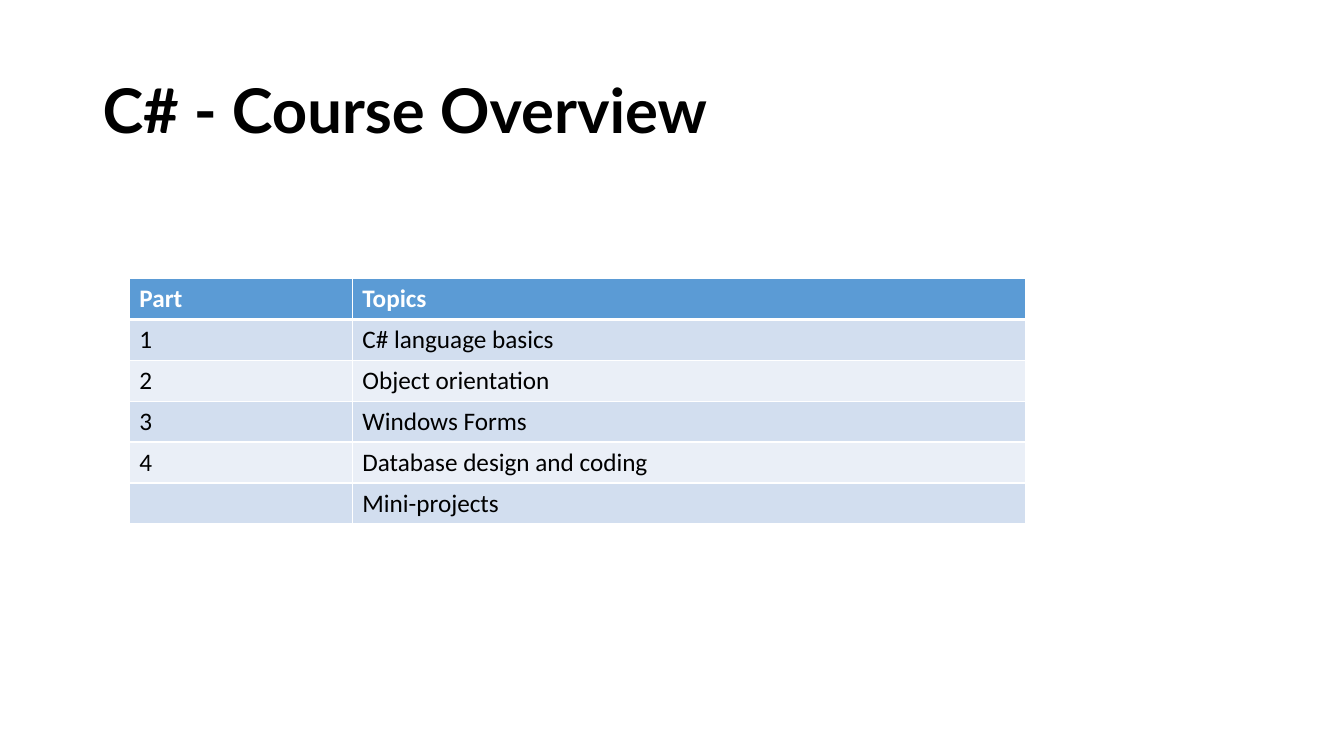
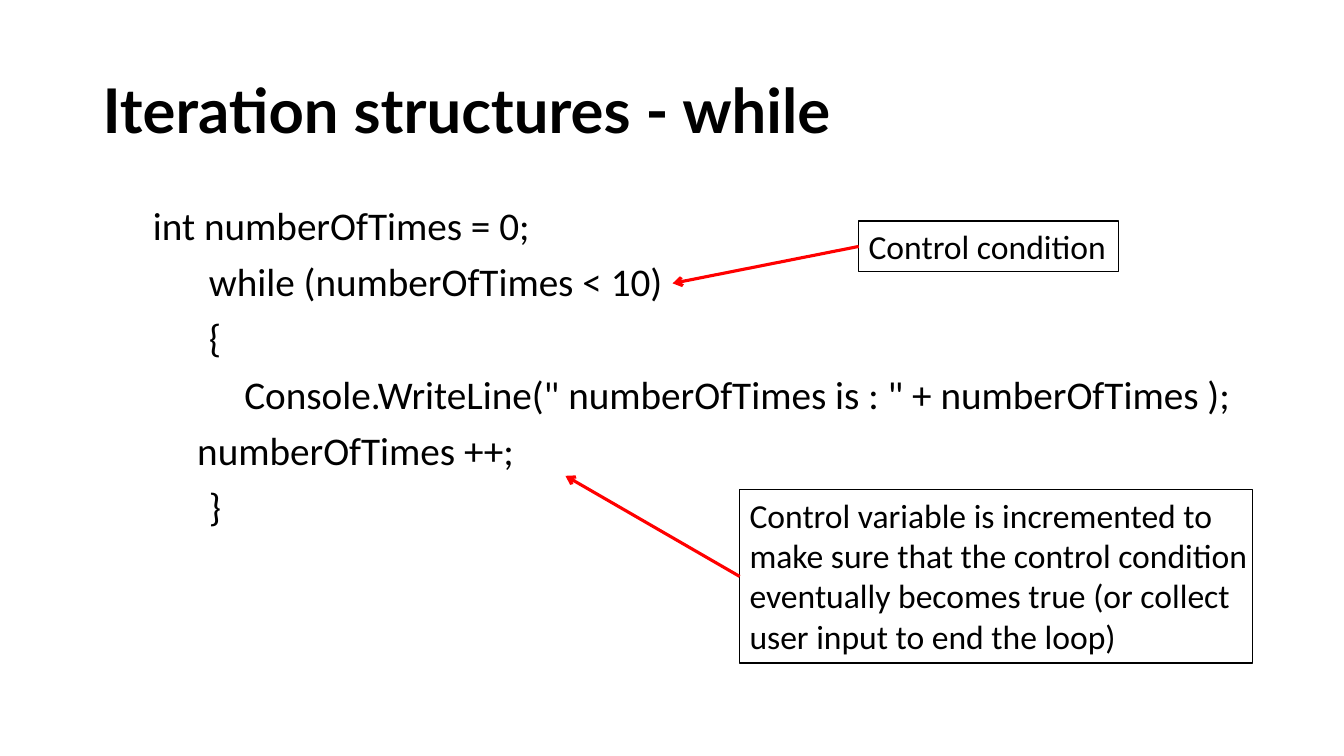
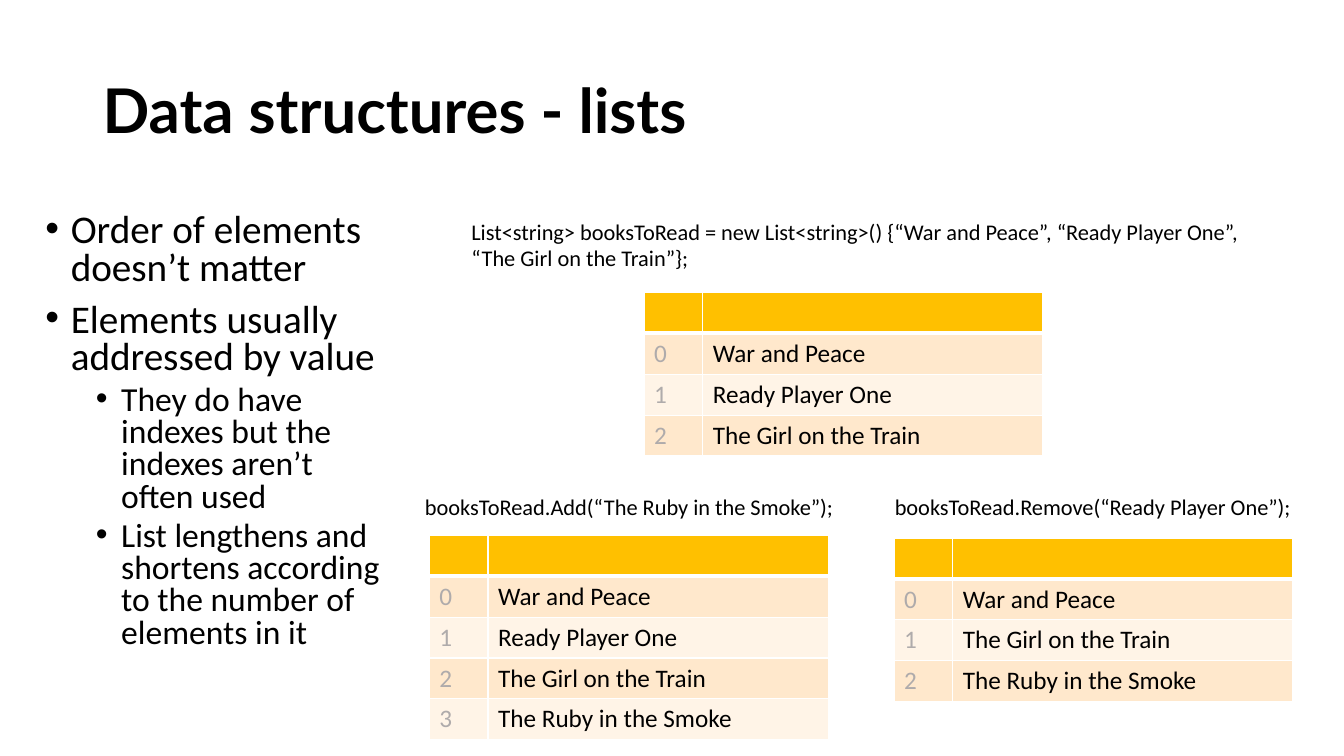
from dataclasses import dataclass

from lxml.etree import SubElement
from pptx import Presentation
from pptx.dml.color import RGBColor
from pptx.enum.shapes import MSO_CONNECTOR, MSO_SHAPE
from pptx.enum.text import MSO_ANCHOR, MSO_AUTO_SIZE, PP_ALIGN
from pptx.oxml.ns import qn
from pptx.util import Cm, Pt


@dataclass(frozen=True)
class Theme:
    title_font: str = "Lato"
    body_font: str = "Calibri"
    title_size: int = 44
    body_size: int = 28
    note_size: int = 24
    table_size: int = 18
    caption_size: int = 16
    black: str = "000000"
    white: str = "FFFFFF"
    red: str = "FF0000"
    muted: str = "AFABAB"
    # Table palettes: header, odd rows, even rows
    blue_rows: tuple = ("5B9BD5", "D2DEEF", "EAEFF7")
    gold_rows: tuple = ("FFC000", "FFE8CC", "FFF4E7")
    row_height: float = 1.03


THEME = Theme()
TITLE_ONLY, TITLE_AND_BODY = 5, 1
LEFT_SIDE = 1


# Text
def write_text(frame, lines, size=THEME.body_size, font=THEME.body_font,
               color=THEME.black, bold=False, line_spacing=1.0,
               space_before=0, anchor=MSO_ANCHOR.TOP, prepare=None):
    """Fill a frame; a line is a string, or a tuple of text, level and size."""
    frame.word_wrap = True
    frame.auto_size = MSO_AUTO_SIZE.NONE
    frame.vertical_anchor = anchor
    for index, line in enumerate(lines):
        text, level, line_size = line if isinstance(line, tuple) else (line, 0, size)
        paragraph = frame.paragraphs[0] if index == 0 else frame.add_paragraph()
        paragraph.level = level
        if prepare:
            prepare(paragraph)
        paragraph.alignment = PP_ALIGN.LEFT
        paragraph.line_spacing = line_spacing
        paragraph.space_before = Pt(space_before / (level + 1) if index else 0)
        run = paragraph.add_run()
        run.text = text
        run.font.size = Pt(line_size)
        run.font.name = font
        run.font.bold = bold
        run.font.color.rgb = RGBColor.from_string(color)


def set_bullet(paragraph):
    properties = paragraph._p.get_or_add_pPr()
    properties.set("marL", str(Cm(0.64 + 1.27 * paragraph.level)))
    properties.set("indent", str(Cm(-0.64)))
    SubElement(properties, qn("a:buFont"), typeface="Arial")
    SubElement(properties, qn("a:buChar"), char="•")


def set_code_tabs(paragraph):
    properties = paragraph._p.get_or_add_pPr()
    properties.set("marL", "0")
    properties.set("indent", "0")
    SubElement(properties, qn("a:buNone"))
    tabs = SubElement(properties, qn("a:tabLst"))
    SubElement(tabs, qn("a:tab"), pos=str(Cm(2.54)), algn="l")


# Placeholders and boxes
def place(shape, left, top, width, height):
    shape.left, shape.top = Cm(left), Cm(top)
    shape.width, shape.height = Cm(width), Cm(height)


def add_slide(presentation, title, layout):
    slide = presentation.slides.add_slide(presentation.slide_layouts[layout])
    place(slide.shapes.title, 2.33, 1.01, 29.21, 3.68)
    write_text(slide.shapes.title.text_frame, [title], size=THEME.title_size,
               font=THEME.title_font, bold=True, line_spacing=0.9,
               anchor=MSO_ANCHOR.MIDDLE)
    return slide


def add_body(slide, box, lines, **text_format):
    body = slide.placeholders[1]
    place(body, *box)
    write_text(body.text_frame, lines, space_before=10, **text_format)


def add_caption(slide, left, top, width, height, text):
    caption = slide.shapes.add_textbox(Cm(left), Cm(top), Cm(width), Cm(height))
    write_text(caption.text_frame, [text], size=THEME.caption_size)


def add_callout(slide, left, top, width, height, text, target):
    """Add a framed note with an arrow from its left side to the target."""
    note = slide.shapes.add_shape(MSO_SHAPE.RECTANGLE, Cm(left), Cm(top),
                                  Cm(width), Cm(height))
    note.shadow.inherit = False
    note.fill.background()
    note.line.color.rgb = RGBColor.from_string(THEME.black)
    note.line.width = Pt(1)
    note.text_frame.margin_right = 0
    write_text(note.text_frame, [text], size=THEME.note_size)

    arrow = slide.shapes.add_connector(MSO_CONNECTOR.STRAIGHT, Cm(left), Cm(top),
                                       Cm(target[0]), Cm(target[1]))
    arrow.begin_connect(note, LEFT_SIDE)
    arrow.line.color.rgb = RGBColor.from_string(THEME.red)
    arrow.line.width = Pt(2.25)
    SubElement(arrow.line._get_or_add_ln(), qn("a:tailEnd"), type="arrow")
    SubElement(arrow._element.spPr, qn("a:effectLst"))


# Tables
def set_borders(cell, top, bottom):
    properties = cell._tc.get_or_add_tcPr()
    for side, width in (("L", 1), ("R", 1), ("T", top), ("B", bottom)):
        line = SubElement(properties, qn(f"a:ln{side}"), w=str(Pt(width)))
        fill = SubElement(line, qn("a:solidFill"))
        SubElement(fill, qn("a:srgbClr"), val=THEME.white)


def add_grid(slide, left, top, widths, rows, palette, first_column=THEME.black):
    table = slide.shapes.add_table(
        len(rows), len(widths), Cm(left), Cm(top), Cm(sum(widths)),
        Cm(THEME.row_height * len(rows))).table
    for column, width in zip(table.columns, widths):
        column.width = Cm(width)
    for row_index, row in enumerate(rows):
        table.rows[row_index].height = Cm(THEME.row_height)
        header = row_index == 0
        for column_index, text in enumerate(row):
            cell = table.cell(row_index, column_index)
            set_borders(cell, top=3 if row_index == 1 else 1, bottom=3 if header else 1)
            cell.fill.solid()
            shade = palette[0] if header else palette[2 - row_index % 2]
            cell.fill.fore_color.rgb = RGBColor.from_string(shade)
            if text:
                body_color = THEME.black if column_index else first_column
                write_text(cell.text_frame, [text], size=THEME.table_size,
                           color=THEME.white if header else body_color, bold=header)


def add_book_list(slide, left, top, books):
    rows = [("", "")] + [(str(index), book) for index, book in enumerate(books)]
    add_grid(slide, left, top, (1.48, 8.57), rows, THEME.gold_rows, THEME.muted)


# Slides
def add_overview(presentation):
    slide = add_slide(presentation, "C# - Course Overview", TITLE_ONLY)
    rows = [("Part", "Topics"), ("1", "C# language basics"),
            ("2", "Object orientation"), ("3", "Windows Forms"),
            ("4", "Database design and coding"), ("", "Mini-projects")]
    add_grid(slide, 3.26, 7.02, (5.62, 16.97), rows, THEME.blue_rows)


def add_while_loop(presentation):
    slide = add_slide(presentation, "Iteration structures - while", TITLE_AND_BODY)
    code = ["\tint numberOfTimes = 0;",
            "            while (numberOfTimes < 10)",
            "            {",
            '                Console.WriteLine(" numberOfTimes is : " + numberOfTimes );',
            " \t     numberOfTimes ++;",
            "            }"]
    add_body(slide, (2.33, 5.07, 29.21, 12.09), code, line_spacing=0.9,
             prepare=set_code_tabs)
    add_callout(slide, 21.64, 5.57, 6.55, 1.28, "Control condition", (16.95, 7.14))
    add_callout(slide, 18.64, 12.34, 12.93, 4.37,
                "Control variable is incremented to make sure that the control "
                "condition eventually becomes true (or collect user input to end "
                "the loop)", (14.25, 11.99))


def add_lists(presentation):
    slide = add_slide(presentation, "Data structures - lists", TITLE_AND_BODY)
    points = ["Order of elements doesn’t matter",
              "Elements usually addressed by value",
              ("They do have indexes but the indexes aren’t often used",
               1, THEME.note_size),
              ("List lengthens and shortens according to the number of elements in it",
               1, THEME.note_size)]
    add_body(slide, (0.89, 5.26, 9.25, 12.09), points, line_spacing=0.8,
             prepare=set_bullet)

    start = ["War and Peace", "Ready Player One", "The Girl on the Train"]
    longer = start + ["The Ruby in the Smoke"]
    shorter = [book for book in longer if book != "Ready Player One"]
    add_caption(slide, 11.63, 5.36, 20.98, 1.62,
                "List<string> booksToRead = new List<string>() {“War and Peace”, "
                "“Ready Player One”, “The Girl on the Train”};")
    add_book_list(slide, 16.23, 7.37, start)
    add_caption(slide, 10.46, 12.29, 10.95, 0.94,
                "booksToRead.Add(“The Ruby in the Smoke”);")
    add_book_list(slide, 10.82, 13.49, longer)
    add_caption(slide, 22.3, 12.29, 10.64, 0.94,
                "booksToRead.Remove(“Ready Player One”);")
    add_book_list(slide, 22.53, 13.56, shorter)


def main():
    presentation = Presentation()
    presentation.slide_width, presentation.slide_height = Cm(33.87), Cm(19.05)
    add_overview(presentation)
    add_while_loop(presentation)
    add_lists(presentation)
    presentation.save("out.pptx")


if __name__ == "__main__":
    main()
